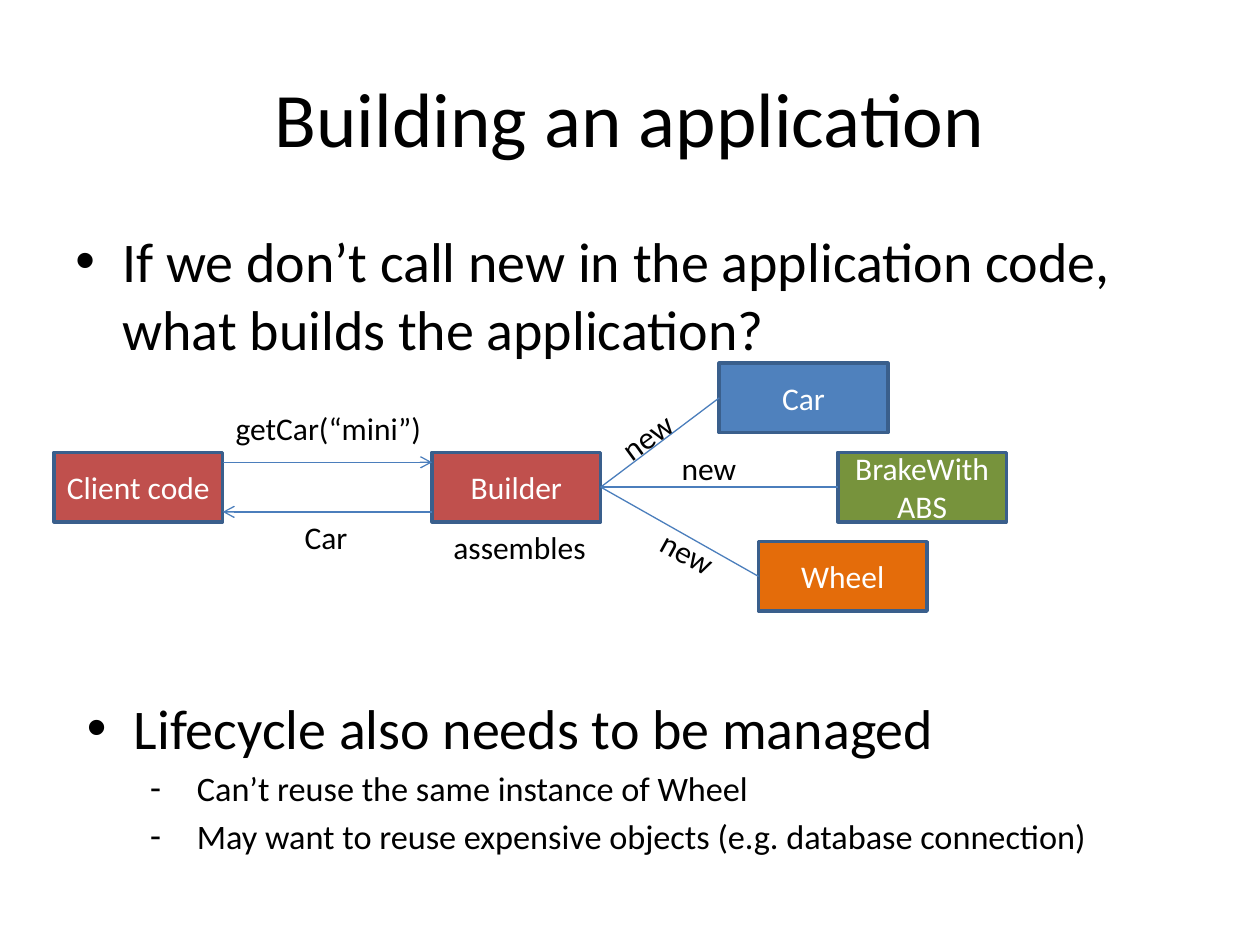
from dataclasses import dataclass

import pptx
import pptx.util
from lxml import etree
from pptx.dml.color import RGBColor
from pptx.enum.shapes import MSO_CONNECTOR, MSO_SHAPE
from pptx.enum.text import MSO_ANCHOR, MSO_AUTO_SIZE, PP_ALIGN
from pptx.oxml.ns import qn
from pptx.util import Cm, Pt


@dataclass(frozen=True)
class Theme:
    font: str = "Calibri"
    text: str = "000000"
    box_text: str = "FFFFFF"
    outline: str = "3A5F8C"
    connector: str = "4B7EBC"
    red: str = "C0504D"
    blue: str = "4F81BD"
    green: str = "77933C"
    orange: str = "E46C0A"
    title_size: float = 44
    bullet_size: float = 32
    dash_size: float = 19.6
    label_size: float = 18


THEME = Theme()
BOX_W, BOX_H = 3.4, 1.4
ROW_TOP, ROW_STEP = 9.12, 1.8
CLIENT_LEFT, BUILDER_LEFT = 1.09, 8.71
TOP, LEFT, RIGHT = 0, 1, 3


def format_runs(p, size, color=THEME.text):
    for r in p.runs:
        r.font.name = THEME.font
        r.font.size = Pt(size)
        r.font.color.rgb = RGBColor.from_string(color)


def add_title(s, text):
    sp = s.shapes.title
    sp.left, sp.top, sp.width, sp.height = Cm(1.27), Cm(0.76), Cm(22.86), Cm(3.18)
    tf = sp.text_frame
    tf.text = text
    tf.vertical_anchor = MSO_ANCHOR.MIDDLE
    tf.paragraphs[0].alignment = PP_ALIGN.CENTER
    format_runs(tf.paragraphs[0], THEME.title_size)


def set_bullet(p, char, indent):
    """Hang the bullet 0.95 cm to the left of the text."""
    pPr = p._p.get_or_add_pPr()
    pPr.set("marL", str(Cm(indent)))
    pPr.set("indent", str(Cm(-0.95)))
    etree.SubElement(pPr, qn("a:buFont")).set("typeface", "Arial")
    etree.SubElement(pPr, qn("a:buChar")).set("char", char)


def add_bullets(s, left, top, heading, details=(), spacing=None):
    sp = s.shapes.add_textbox(Cm(left), Cm(top), Cm(22.86), Cm(3.28))
    tf = sp.text_frame
    tf.word_wrap = True
    for i, text in enumerate((heading, *details)):
        p = tf.add_paragraph() if i else tf.paragraphs[0]
        size = THEME.dash_size if i else THEME.bullet_size
        p.text = text
        p.level = 1 if i else 0
        p.space_before = Pt(round(size * 0.2, 1))
        if spacing and not i:
            p.line_spacing = spacing
        set_bullet(p, "-" if i else "•", 2.22 if i else 0.95)
        format_runs(p, size)


def add_box(s, left, top, text, fill):
    sp = s.shapes.add_shape(MSO_SHAPE.RECTANGLE, Cm(left), Cm(top), Cm(BOX_W), Cm(BOX_H))
    sp.shadow.inherit = False
    sp.fill.solid()
    sp.fill.fore_color.rgb = RGBColor.from_string(fill)
    sp.line.color.rgb = RGBColor.from_string(THEME.outline)
    sp.line.width = Pt(2)
    tf = sp.text_frame
    tf.word_wrap = True
    tf.vertical_anchor = MSO_ANCHOR.MIDDLE
    tf.text = text
    tf.paragraphs[0].alignment = PP_ALIGN.CENTER
    format_runs(tf.paragraphs[0], THEME.label_size, THEME.box_text)
    return sp


def add_line(s, x1=0, y1=0, x2=0, y2=0):
    cn = s.shapes.add_connector(MSO_CONNECTOR.STRAIGHT, Cm(x1), Cm(y1), Cm(x2), Cm(y2))
    cn.line.color.rgb = RGBColor.from_string(THEME.connector)
    cn.line.width = Pt(0.75)
    etree.SubElement(cn._element.spPr, qn("a:effectLst"))
    return cn


def join(s, source, target):
    cn = add_line(s)
    cn.begin_connect(source, RIGHT)
    cn.end_connect(target, LEFT)


def add_arrow(s, x1, x2, y):
    cn = add_line(s, x1, y, x2, y)
    etree.SubElement(cn.line._get_or_add_ln(), qn("a:tailEnd")).set("type", "arrow")


def add_label(s, left, top, width, text, rotation=0):
    sp = s.shapes.add_textbox(Cm(left), Cm(top), Cm(width), Cm(1.03))
    sp.rotation = rotation
    tf = sp.text_frame
    tf.word_wrap = False
    tf.auto_size = MSO_AUTO_SIZE.SHAPE_TO_FIT_TEXT
    tf.text = text
    format_runs(tf.paragraphs[0], THEME.label_size)


def add_diagram(s):
    add_box(s, CLIENT_LEFT, ROW_TOP, "Client code", THEME.red)
    builder = add_box(s, BUILDER_LEFT, ROW_TOP, "Builder", THEME.red)
    parts = [
        (14.5, -1, "Car", THEME.blue),
        (16.89, 0, "BrakeWithABS", THEME.green),
        (15.29, 1, "Wheel", THEME.orange),
    ]
    for left, row, text, fill in parts:
        join(s, builder, add_box(s, left, ROW_TOP + row * ROW_STEP, text, fill))

    client_right = CLIENT_LEFT + BOX_W
    add_arrow(s, client_right, BUILDER_LEFT, ROW_TOP + 0.2)
    add_arrow(s, BUILDER_LEFT, client_right, ROW_TOP + 1.2)

    labels = [
        (4.5, 8.13, 4.29, "getCar(“mini”)", 0),
        (5.89, 10.32, 1.4, "Car", 0),
        (8.89, 10.52, 3.2, "assembles", 0),
        (12.24, 8.28, 1.63, "new", 324.1),
        (13.49, 8.92, 1.63, "new", 0),
        (13.06, 10.64, 1.63, "new", 28.9),
    ]
    for label in labels:
        add_label(s, *label)


def main():
    prs = pptx.Presentation()
    prs.slide_width, prs.slide_height = Cm(25.4), Cm(19.05)
    s = prs.slides.add_slide(prs.slide_layouts[5])
    add_title(s, "Building an application")
    add_bullets(s, 1.27, 4.45,
                "If we don’t call new in the application code, what builds the application?")
    add_diagram(s)
    add_bullets(s, 1.5, 14.12, "Lifecycle also needs to be managed",
                ["Can’t reuse the same instance of Wheel",
                 "May want to reuse expensive objects (e.g. database connection)"],
                spacing=0.8)
    prs.save("out.pptx")


if __name__ == "__main__":
    main()
